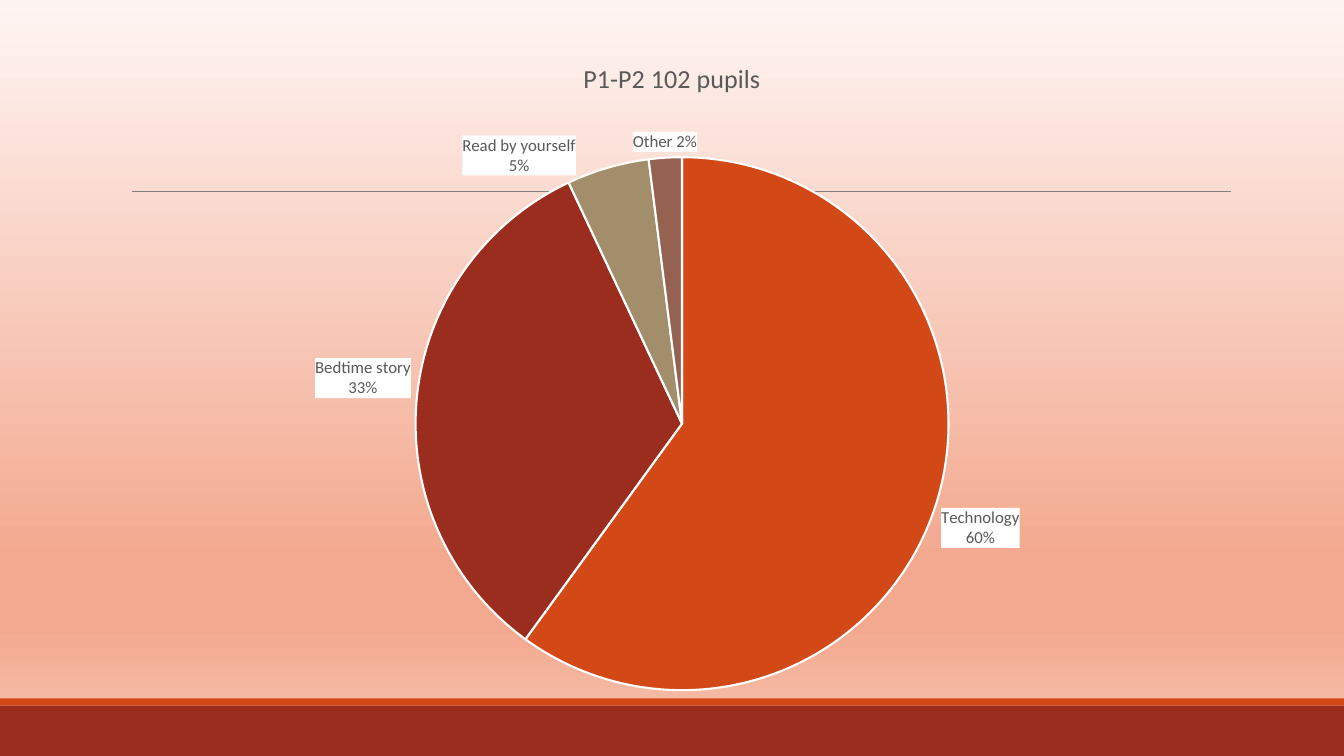
from dataclasses import dataclass

from lxml import etree
from pptx import Presentation
from pptx.chart.data import CategoryChartData
from pptx.dml.color import RGBColor
from pptx.enum.chart import XL_CHART_TYPE, XL_LABEL_POSITION
from pptx.enum.shapes import MSO_CONNECTOR, MSO_SHAPE
from pptx.oxml.ns import qn
from pptx.util import Cm, Pt

PIE = XL_CHART_TYPE.PIE
OUTSIDE = XL_LABEL_POSITION.OUTSIDE_END
RECT = MSO_SHAPE.RECTANGLE
STRAIGHT = MSO_CONNECTOR.STRAIGHT


@dataclass(frozen=True)
class Theme:
    """Colours, font and type sizes of the slide."""
    font: str = "Calibri"
    text: str = "595959"
    white: str = "FFFFFF"
    rule: str = "808080"
    orange: str = "D34817"
    red: str = "9B2D1F"
    slices: tuple = ("D34817", "9B2D1F", "A28E6A", "956251")
    backdrop: tuple = ((0, "FEF5F3"), (74, "F3A98F"), (83, "F3A98F"), (100, "F7C6B4"))
    title_size: float = 18.6
    label_size: float = 12
    base_size: float = 10


THEME = Theme()
TITLE = "P1-P2 102 pupils"
ANSWERS = {"Technology": 60, "Bedtime story": 33, "Read by yourself": 5, "Other": 2}


def rgb(code):
    """Turn a hex code into a colour."""
    return RGBColor.from_string(code)


def style_font(font, size):
    """Apply the theme font at the given size."""
    font.name = THEME.font
    font.size = Pt(size)
    font.bold = False
    font.color.rgb = rgb(THEME.text)


def set_backdrop(slide):
    """Fill the slide background with the vertical gradient."""
    fill = slide.background.fill
    fill.gradient()
    fill.gradient_angle = 270
    stops = slide.element.find(".//" + qn("a:gsLst"))
    for stop in list(stops):
        stops.remove(stop)
    for percent, code in THEME.backdrop:
        stop = etree.SubElement(stops, qn("a:gs"), pos=str(percent * 1000))
        etree.SubElement(stop, qn("a:srgbClr"), val=code)


def add_band(slide, top, height, code):
    """Add a full-width colour band."""
    sp = slide.shapes.add_shape(RECT, 0, top, Cm(33.87), height)
    sp.shadow.inherit = False
    sp.fill.solid()
    sp.fill.fore_color.rgb = rgb(code)
    sp.line.fill.background()


def add_rule(slide, left, right, y):
    """Add a thin horizontal line."""
    line = slide.shapes.add_connector(STRAIGHT, left, y, right, y)
    line.line.color.rgb = rgb(THEME.rule)
    line.line.width = Pt(0.5)
    etree.SubElement(line.element.spPr, qn("a:effectLst"))


def make_layout(**values):
    """Build a manual chart layout from named values."""
    layout = etree.Element(qn("c:layout"))
    manual = etree.SubElement(layout, qn("c:manualLayout"))
    for name, value in values.items():
        etree.SubElement(manual, qn("c:" + name), val=str(value))
    return layout


def finish_label(element, separator):
    """Give a label its white box, its content and its separator."""
    box = etree.Element(qn("c:spPr"))
    fill = etree.SubElement(box, qn("a:solidFill"))
    etree.SubElement(fill, qn("a:srgbClr"), val=THEME.white)
    element.find(qn("c:txPr")).addprevious(box)
    for name, shown in (("showVal", "0"), ("showCatName", "1"), ("showPercent", "1")):
        element.find(qn("c:" + name)).set("val", shown)
    gap = etree.Element(qn("c:separator"))
    gap.text = separator
    element.find(qn("c:showBubbleSize")).addnext(gap)


def label_slices(chart, series):
    """Label every slice with its name and share."""
    labels = series.data_labels
    labels.position = OUTSIDE
    labels.number_format = "0%"
    labels.number_format_is_linked = False
    style_font(labels.font, THEME.label_size)
    element = chart.element.find(".//" + qn("c:dLbls"))
    element.find(qn("c:showLeaderLines")).set("val", "0")
    finish_label(element, "\n")


def label_point(chart, series, index, separator, **shift):
    """Label one slice with its own separator and shift."""
    label = series.points[index].data_label
    style_font(label.font, THEME.label_size)
    label.position = OUTSIDE
    element = chart.element.findall(".//" + qn("c:dLbl"))[-1]
    if shift:
        element.find(qn("c:idx")).addnext(make_layout(**shift))
    finish_label(element, separator)


def add_pie(slide):
    """Add the pie chart of answers."""
    data = CategoryChartData()
    data.categories = list(ANSWERS)
    data.add_series(TITLE, list(ANSWERS.values()))
    frame = slide.shapes.add_chart(PIE, Cm(4.22), Cm(0.94), Cm(25.43), Cm(16.79), data)
    chart = frame.chart
    style_font(chart.font, THEME.base_size)
    chart.has_legend = False
    chart.has_title = True
    tf = chart.chart_title.text_frame
    tf.text = TITLE
    style_font(tf.paragraphs[0].runs[0].font, THEME.title_size)
    plot = chart.plots[0]
    plot.vary_by_categories = True
    series = plot.series[0]
    for i, code in enumerate(THEME.slices):
        point = series.points[i].format
        point.fill.solid()
        point.fill.fore_color.rgb = rgb(code)
        point.line.color.rgb = rgb(THEME.white)
        point.line.width = Pt(1.5)
    label_slices(chart, series)
    label_point(chart, series, 2, "\n", x=-0.03, y=0.02)
    label_point(chart, series, 3, " ")
    area = chart.element.find(".//" + qn("c:plotArea"))
    for old in area.findall(qn("c:layout")):
        area.remove(old)
    area.insert(0, make_layout(layoutTarget="inner", xMode="edge", yMode="edge",
                               x=0.24, y=0.18, w=0.54, h=0.8))


def main():
    """Build and save the slide."""
    prs = Presentation()
    prs.slide_width, prs.slide_height = Cm(33.87), Cm(19.05)
    slide = prs.slides.add_slide(prs.slide_layouts[6])
    set_backdrop(slide)
    add_band(slide, Cm(17.78), Cm(1.27), THEME.red)
    add_band(slide, Cm(17.6), Cm(0.18), THEME.orange)
    add_rule(slide, Cm(3.33), Cm(31.01), Cm(4.83))
    add_pie(slide)
    prs.save("out.pptx")


if __name__ == "__main__":
    main()
